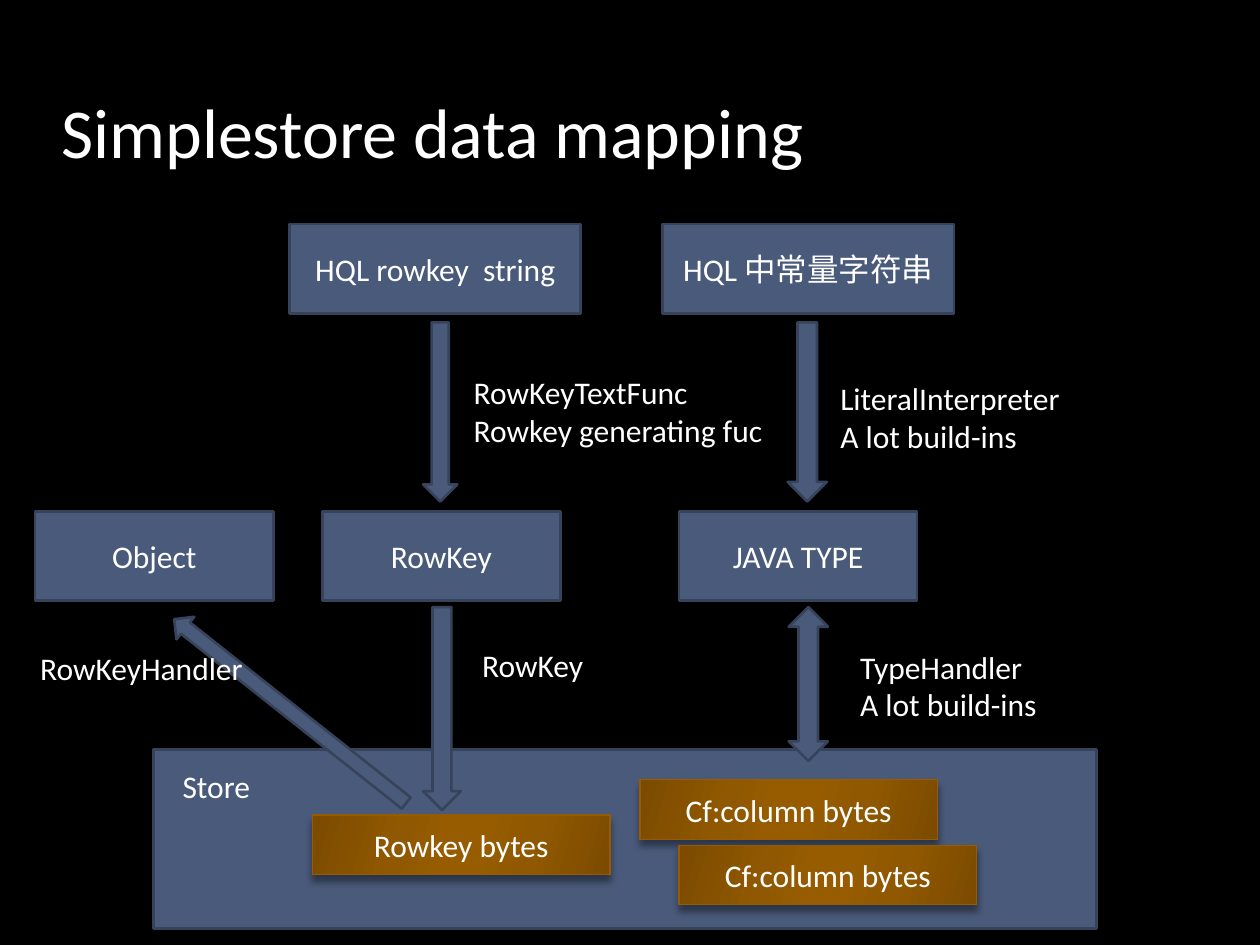
from dataclasses import dataclass

import pptx
import pptx.dml.color
import pptx.enum.shapes
import pptx.enum.text
import pptx.oxml
import pptx.oxml.ns
import pptx.util
from pptx.util import Cm, Pt

SHAPE = pptx.enum.shapes.MSO_SHAPE
ANCHOR = pptx.enum.text.MSO_ANCHOR
ALIGN = pptx.enum.text.PP_ALIGN
NS = pptx.oxml.ns.nsdecls("a")

BLACK, WHITE = "000000", "FFFFFF"
BLUE, BLUE_LINE = "4A5A7A", "37435A"
BROWN_LINE = "975C00"
BROWN_STOPS = [(0, "7C4B00"), (30, "905800"), (45, "975C00"),
               (55, "975C00"), (73, "905800"), (100, "7C4B00")]
BROWN_ANGLE = 16


@dataclass
class Item:
    """A shape or label; lengths are in centimetres."""
    left: float
    top: float
    width: float
    height: float
    text: str = ""
    kind: SHAPE = SHAPE.RECTANGLE
    rotation: float = 0


def node(x: float, y: float, text: str, width: float = 4.8) -> Item:
    return Item(x, y, width, 1.8, text)


def bytes_box(x: float, y: float, text: str) -> Item:
    return Item(x, y, 6, 1.2, text)


STORE = Item(3.1, 15.11, 19, 3.61)
BYTES = [
    bytes_box(6.3, 16.43, "Rowkey bytes"),
    bytes_box(12.9, 15.72, "Cf:column bytes"),
    bytes_box(13.69, 17.04, "Cf:column bytes"),
]
QUERY_Y, TYPE_Y = 4.52, 10.31
NODES = [
    node(5.84, QUERY_Y, "HQL rowkey  string", 5.87),
    node(13.36, QUERY_Y, "HQL 中常量字符串", 5.87),
    node(0.71, TYPE_Y, "Object"),
    node(6.5, TYPE_Y, "RowKey"),
    node(13.69, TYPE_Y, "JAVA TYPE"),
]
ARROWS = [
    Item(8.53, 6.5, 0.69, 3.61, kind=SHAPE.DOWN_ARROW),
    Item(15.88, 6.5, 0.79, 3.61, kind=SHAPE.DOWN_ARROW),
    Item(8.53, 12.24, 0.76, 4.09, kind=SHAPE.DOWN_ARROW),
    Item(5.56, 11.35, 0.58, 5.97, kind=SHAPE.UP_ARROW, rotation=308.4),
    Item(15.9, 12.24, 0.79, 3.1, kind=SHAPE.UP_DOWN_ARROW),
]
TITLE = Item(0.99, 0.64, 21.34, 2.97, "Simplestore data mapping")
LABELS = [
    Item(3.43, 15.34, 2.21, 1.02, "Store"),
    Item(16.69, 7.52, 6.4, 1.8, "LiteralInterpreter\nA lot build-ins"),
    Item(17.09, 12.93, 5.21, 1.8, "TypeHandler\nA lot build-ins"),
    Item(9.3, 7.39, 6.58, 1.8, "RowKeyTextFunc\nRowkey generating fuc"),
    Item(9.47, 12.9, 3.66, 1.8, "RowKey"),
    Item(0.56, 12.95, 5.59, 1.02, "RowKeyHandler"),
]


def rgb(value: str) -> pptx.dml.color.RGBColor:
    return pptx.dml.color.RGBColor.from_string(value)


def box(item: Item) -> list:
    return [Cm(v) for v in (item.left, item.top, item.width, item.height)]


def write(sp, text: str, size: float = 18, anchor=ANCHOR.TOP, **para) -> None:
    tf = sp.text_frame
    tf.word_wrap = True
    tf.vertical_anchor = anchor
    tf.text = text
    for p in tf.paragraphs:
        for name, value in para.items():
            setattr(p, name, value)
        for r in p.runs:
            for name, value in {"name": "Calibri", "size": Pt(size)}.items():
                setattr(r.font, name, value)
            r.font.color.rgb = rgb(WHITE)


def draw_shape(s, item: Item, line: str = BLUE_LINE, weight: float = 1.5):
    sp = s.shapes.add_shape(item.kind, *box(item))
    sp.rotation = item.rotation
    sp.shadow.inherit = False
    sp.fill.solid()
    sp.fill.fore_color.rgb = rgb(BLUE)
    sp.line.color.rgb = rgb(line)
    sp.line.width = Pt(weight)
    if item.text:
        write(sp, item.text, anchor=ANCHOR.MIDDLE, alignment=ALIGN.CENTER)
    return sp


def draw_bytes(s, item: Item) -> None:
    """Draw a box with a six-stop brown gradient and a soft shadow below."""
    sp = draw_shape(s, item, BROWN_LINE, 0.75)
    stops = "".join(
        f'<a:gs pos="{pos * 1000}"><a:srgbClr val="{color}"/></a:gs>'
        for pos, color in BROWN_STOPS)
    spPr = sp._element.spPr
    solid = spPr.find(pptx.oxml.ns.qn("a:solidFill"))
    spPr.replace(solid, pptx.oxml.parse_xml(
        f'<a:gradFill {NS} rotWithShape="1"><a:gsLst>{stops}</a:gsLst>'
        f'<a:lin ang="{BROWN_ANGLE * 60000}" scaled="0"/></a:gradFill>'))
    spPr.find(pptx.oxml.ns.qn("a:effectLst")).append(pptx.oxml.parse_xml(
        f'<a:outerShdw {NS} blurRad="{Pt(4)}" dist="{Pt(3.4)}" dir="5400000" '
        f'rotWithShape="0"><a:srgbClr val="{BLACK}"><a:alpha val="40000"/>'
        '</a:srgbClr></a:outerShdw>'))


def draw_label(s, item: Item, **style) -> None:
    write(s.shapes.add_textbox(*box(item)), item.text, **style)


def main() -> None:
    prs = pptx.Presentation()
    prs.slide_width, prs.slide_height = Cm(25.4), Cm(19.05)
    s = prs.slides.add_slide(prs.slide_layouts[6])
    s.background.fill.solid()
    s.background.fill.fore_color.rgb = rgb(BLACK)

    draw_label(s, TITLE, size=40, anchor=ANCHOR.BOTTOM, space_before=Pt(4))
    draw_shape(s, STORE)
    for item in BYTES:
        draw_bytes(s, item)
    for item in NODES + ARROWS:
        draw_shape(s, item)
    for item in LABELS:
        draw_label(s, item)
    prs.save("out.pptx")


if __name__ == "__main__":
    main()
